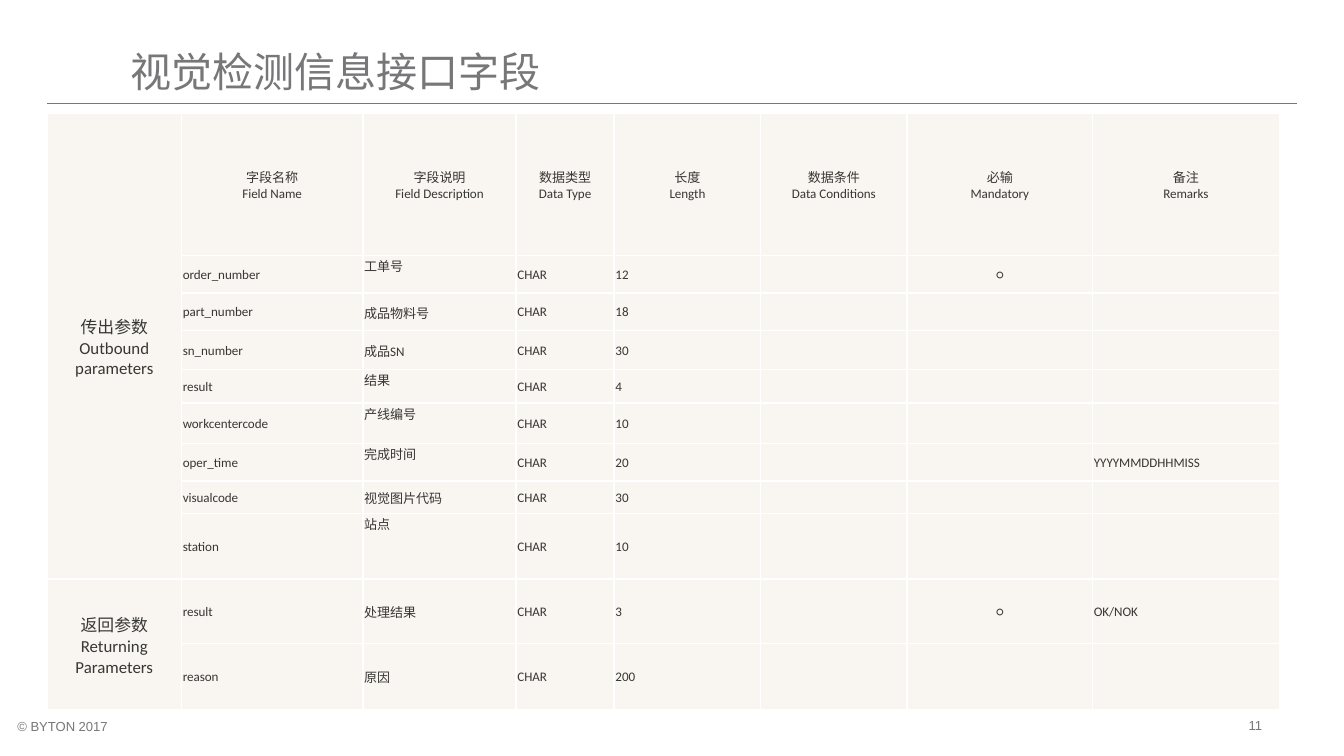
import lxml.etree
import pptx
import pptx.dml.color
import pptx.enum.shapes
import pptx.enum.text
import pptx.oxml.ns
import pptx.util

Inches = pptx.util.Inches
Pt = pptx.util.Pt
RGBColor = pptx.dml.color.RGBColor
ALIGN = pptx.enum.text.PP_ALIGN
ANCHOR = pptx.enum.text.MSO_ANCHOR
qn = pptx.oxml.ns.qn

GREY = RGBColor(0x77, 0x77, 0x79)
DARK = RGBColor(0x37, 0x37, 0x35)
CREAM = RGBColor(0xF9, 0xF5, 0xF0)
WHITE = RGBColor(0xFF, 0xFF, 0xFF)

SLIDE_WIDTH = 10
COLUMN_WIDTHS = [1, 1.35, 1.14, 0.73, 1.09, 1.09, 1.38, 1.39]
ROW_HEIGHTS = [1.06, 0.28, 0.28, 0.29, 0.25, 0.3, 0.28, 0.24, 0.49, 0.48, 0.49]
HEADERS = [
    "字段名称\nField Name", "字段说明\nField Description", "数据类型\nData Type",
    "长度\nLength", "数据条件\nData Conditions", "必输\nMandatory", "备注\nRemarks",
]
# Field name, description, length, mandatory, remarks
FIELDS = [
    ("order_number", "工单号", "12", "○", ""),
    ("part_number", "成品物料号", "18", "", ""),
    ("sn_number", "成品SN", "30", "", ""),
    ("result", "结果", "4", "", ""),
    ("workcentercode", "产线编号", "10", "", ""),
    ("oper_time", "完成时间", "20", "", "YYYYMMDDHHMISS"),
    ("visualcode", "视觉图片代码", "30", "", ""),
    ("station", "站点", "10", "", ""),
    ("result", "处理结果", "3", "○", "OK/NOK"),
    ("reason", "原因", "200", "", ""),
]
TOP_ANCHORED = {"工单号", "结果", "产线编号", "完成时间", "站点"}
JUSTIFIED = {"3", "200"}
GROUPS = [(0, 8, ["传出参数Outbound parameters"]),
          (9, 10, ["返回参数", "Returning Parameters"])]


def set_font(paragraph, size, color, name="Arial"):
    paragraph.font.size = Pt(size)
    paragraph.font.name = name
    paragraph.font.color.rgb = color


def add_title(slide, text):
    title = slide.shapes.title
    title.left, title.top = Inches(0.97), Inches(0.01)
    title.width, title.height = Inches(8.55), Inches(1.09)
    frame = title.text_frame
    frame.text = text
    frame.auto_size = pptx.enum.text.MSO_AUTO_SIZE.NONE
    frame.margin_left = 0
    frame.vertical_anchor = ANCHOR.MIDDLE
    heading = frame.paragraphs[0]
    heading.alignment = ALIGN.LEFT
    heading.line_spacing = 0.9
    set_font(heading, 22, GREY)


def add_title_rule(slide):
    rule = slide.shapes.add_connector(
        pptx.enum.shapes.MSO_CONNECTOR.STRAIGHT,
        Inches(0.35), Inches(0.77), Inches(9.65), Inches(0.77))
    rule.line.color.rgb = GREY
    rule.line.width = Pt(0.5)
    lxml.etree.SubElement(rule._element.spPr, qn("a:effectLst"))


def add_footer_text(slide, text, left, top, width, align, anchor):
    box = slide.shapes.add_textbox(
        Inches(left), Inches(top), Inches(width), Inches(0.24))
    frame = box.text_frame
    frame.word_wrap = True
    frame.vertical_anchor = anchor
    if align == ALIGN.RIGHT:
        frame.margin_right = 0
    else:
        frame.margin_left = 0
    paragraph = frame.paragraphs[0]
    paragraph.text = text
    paragraph.alignment = align
    set_font(paragraph, 7, GREY)


def set_borders(cell):
    properties = cell._tc.get_or_add_tcPr()
    for index, side in enumerate(("a:lnL", "a:lnR", "a:lnT", "a:lnB")):
        border = lxml.etree.Element(qn(side), w=str(Pt(1)))
        fill = lxml.etree.SubElement(border, qn("a:solidFill"))
        lxml.etree.SubElement(fill, qn("a:srgbClr"), val=str(WHITE))
        properties.insert(index, border)


def fill_cell(cell, lines=("",), size=7, align=ALIGN.LEFT, anchor=ANCHOR.MIDDLE):
    """Write one paragraph per line; a newline inside a line is a line break."""
    cell.margin_left = cell.margin_right = cell.margin_top = Inches(0.01)
    cell.margin_bottom = 0
    cell.vertical_anchor = anchor
    cell.fill.solid()
    cell.fill.fore_color.rgb = CREAM
    set_borders(cell)
    frame = cell.text_frame
    for index, line in enumerate(lines):
        paragraph = frame.paragraphs[0] if index == 0 else frame.add_paragraph()
        paragraph.text = line
        paragraph.alignment = align
        set_font(paragraph, size, DARK, "Calibri")
        if not line:  # keeps an empty cell from stretching its row
            lxml.etree.SubElement(
                paragraph._p, qn("a:endParaRPr"), sz=str(size * 100))


def field_alignment(value):
    if value == "○":
        return ALIGN.CENTER
    return ALIGN.JUSTIFY if value in JUSTIFIED else ALIGN.LEFT


def add_field_table(slide):
    table = slide.shapes.add_table(
        len(ROW_HEIGHTS), len(COLUMN_WIDTHS), Inches(0.35), Inches(0.84),
        Inches(sum(COLUMN_WIDTHS)), Inches(sum(ROW_HEIGHTS))).table
    table.first_row = table.horz_banding = False
    for column, width in zip(table.columns, COLUMN_WIDTHS):
        column.width = Inches(width)
    for row, height in zip(table.rows, ROW_HEIGHTS):
        row.height = Inches(height)

    for column, header in enumerate(HEADERS, start=1):
        fill_cell(table.cell(0, column), [header], align=ALIGN.CENTER)
    for row, (name, description, length, mandatory, remarks) in enumerate(FIELDS, start=1):
        values = [name, description, "CHAR", length, "", mandatory, remarks]
        for column, value in enumerate(values, start=1):
            fill_cell(
                table.cell(row, column), [value], align=field_alignment(value),
                anchor=ANCHOR.TOP if value in TOP_ANCHORED else ANCHOR.MIDDLE)

    for first, last, label in GROUPS:
        table.cell(first, 0).merge(table.cell(last, 0))
        fill_cell(table.cell(first, 0), label, size=9, align=ALIGN.CENTER)
        for row in range(first + 1, last + 1):
            fill_cell(table.cell(row, 0))


def main():
    presentation = pptx.Presentation()
    presentation.slide_width = Inches(SLIDE_WIDTH)
    presentation.slide_height = Inches(SLIDE_WIDTH * 9 / 16)
    slide = presentation.slides.add_slide(
        presentation.slide_layouts.get_by_name("Title Only"))
    add_title_rule(slide)
    add_title(slide, "视觉检测信息接口字段")
    add_footer_text(slide, "11", 7.14, 5.28, 2.25, ALIGN.RIGHT, ANCHOR.MIDDLE)
    add_footer_text(slide, "© BYTON 2017", 0.13, 5.3, 3.38, ALIGN.LEFT, ANCHOR.TOP)
    add_field_table(slide)
    presentation.save("out.pptx")


if __name__ == "__main__":
    main()
